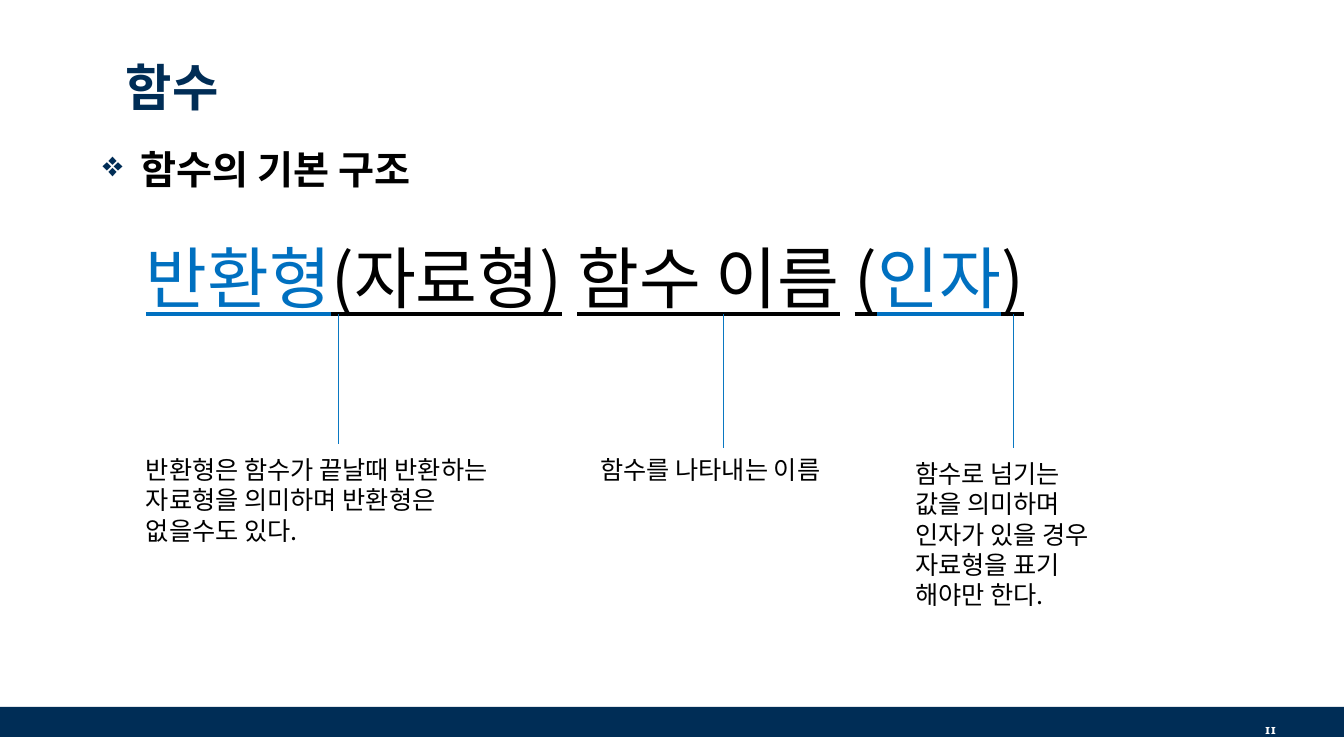
from lxml import etree
from pptx import Presentation
from pptx.dml.color import RGBColor
from pptx.enum.shapes import MSO_CONNECTOR, MSO_SHAPE
from pptx.enum.text import MSO_ANCHOR, PP_ALIGN
from pptx.oxml.ns import qn
from pptx.util import Cm, Pt

RECTANGLE = MSO_SHAPE.RECTANGLE
STRAIGHT = MSO_CONNECTOR.STRAIGHT
TOP, BOTTOM = MSO_ANCHOR.TOP, MSO_ANCHOR.BOTTOM
LEFT, RIGHT = PP_ALIGN.LEFT, PP_ALIGN.RIGHT

COLORS = {
    "navy": "002D56",
    "blue": "0070C0",
    "line": "0A78C2",
    "black": "000000",
    "white": "FFFFFF",
}
KOREAN = "Noto Sans CJK KR"

presentation = Presentation()
presentation.slide_width = Cm(33.87)
presentation.slide_height = Cm(19.05)
slide = presentation.slides.add_slide(presentation.slide_layouts[6])


def add_text(lines, left, top, width, height, size=18, font=KOREAN, color="black",
             bold=False, anchor=TOP, align=LEFT):
    """Each line is a string or a list of (text, run format) pairs."""
    box = slide.shapes.add_textbox(Cm(left), Cm(top), Cm(width), Cm(height))
    frame = box.text_frame
    frame.word_wrap = True
    frame.vertical_anchor = anchor
    for index, line in enumerate(lines):
        paragraph = frame.add_paragraph() if index else frame.paragraphs[0]
        paragraph.alignment = align
        for text, style in [(line, {})] if isinstance(line, str) else line:
            run = paragraph.add_run()
            run.text = text
            run.font.size = Pt(size)
            run.font.name = font
            run.font.bold = bold
            run.font.underline = style.get("underline", False)
            run.font.color.rgb = RGBColor.from_string(COLORS[style.get("color", color)])
            east_asian = etree.SubElement(run.font._element, qn("a:ea"))
            east_asian.set("typeface", KOREAN)
    return box


# Footer band and slide number
band = slide.shapes.add_shape(RECTANGLE, 0, Cm(17.81), presentation.slide_width, Cm(0.76))
band.shadow.inherit = False
band.fill.solid()
band.fill.fore_color.rgb = RGBColor.from_string(COLORS["navy"])
band.line.fill.background()
add_text(["11"], 30.63, 18.03, 1.78, 0.71, size=10, font="Vollkorn", color="white",
         bold=True, align=RIGHT)

# Title and bulleted heading
add_text(["함수"], 2.92, 0.33, 26.47, 2.74, size=36, color="navy", bold=True, anchor=BOTTOM)
heading = add_text(["함수의 기본 구조"], 2.34, 3.53, 30.23, 13.41, size=28, bold=True)
properties = heading.text_frame.paragraphs[0]._p.get_or_add_pPr()
properties.set("marL", str(Cm(0.95)))
properties.set("indent", str(Cm(-0.95)))
bullet_color = etree.SubElement(properties, qn("a:buClr"))
etree.SubElement(bullet_color, qn("a:srgbClr")).set("val", COLORS["navy"])
etree.SubElement(properties, qn("a:buSzPct")).set("val", "90000")
etree.SubElement(properties, qn("a:buChar")).set("char", "❖")

# Function signature
underlined = {"underline": True}
highlighted = {"underline": True, "color": "blue"}
add_text([[("반환형", highlighted), ("(자료형)", underlined), (" ", {}),
           ("함수 이름", underlined), (" ", {}), ("(", underlined),
           ("인자", highlighted), (")", underlined)]],
         3.43, 5.84, 28.09, 2.31, size=48)

# Explanations, each with its line from the signature
explanations = [
    (3.43, 11.33, 10.16, 2.57, 8.53, 11.18,
     ["반환형은 함수가 끝날때 반환하는", "자료형을 의미하며 반환형은", "없을수도 있다."]),
    (14.88, 11.33, 6.73, 1.02, 18.24, 11.28, ["함수를 나타내는 이름"]),
    (22.81, 11.43, 5.46, 4.11, 25.53, 11.28,
     ["함수로 넘기는", "값을 의미하며", "인자가 있을 경우", "자료형을 표기", "해야만 한다."]),
]
for left, top, width, height, line_x, line_end, lines in explanations:
    add_text(lines, left, top, width, height)
    connector = slide.shapes.add_connector(STRAIGHT, Cm(line_x), Cm(7.92),
                                           Cm(line_x), Cm(line_end))
    connector.line.color.rgb = RGBColor.from_string(COLORS["line"])
    connector.line.width = Pt(0.75)
    etree.SubElement(connector._element.spPr, qn("a:effectLst"))

presentation.save("out.pptx")
